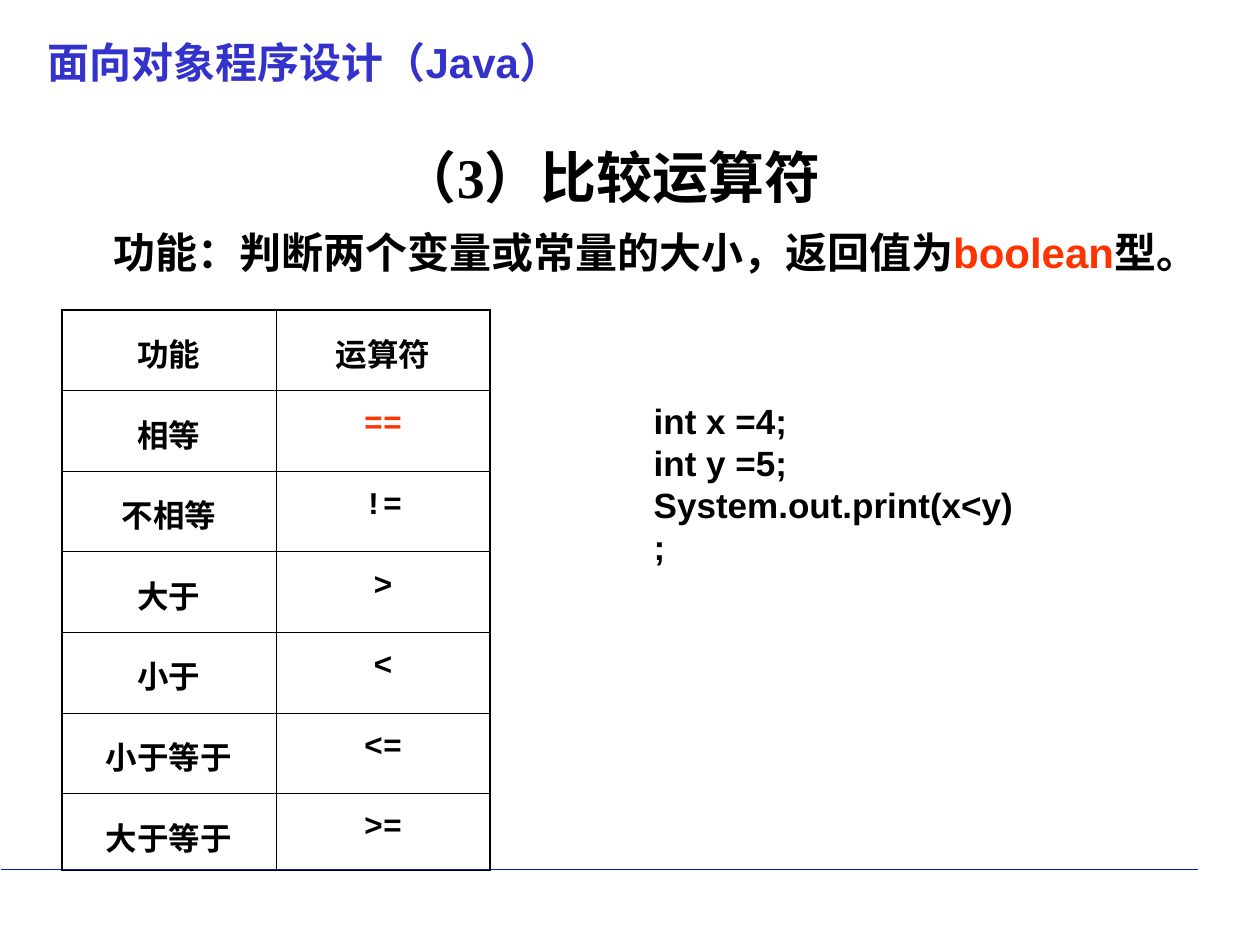
from lxml.etree import SubElement
from pptx import Presentation
from pptx.dml.color import RGBColor
from pptx.enum.shapes import MSO_CONNECTOR
from pptx.enum.text import MSO_ANCHOR, MSO_AUTO_SIZE, PP_ALIGN
from pptx.oxml.ns import qn
from pptx.util import Inches, Pt

# Content
COURSE = "面向对象程序设计（Java）"
TITLE = "（3）比较运算符"
PURPOSE = [
    ("功能：判断两个变量或常量的大小，返回值为", "000000"),
    ("boolean", "FF3300"),
    ("型。", "000000"),
]
CODE = ["int x =4;", "int y =5;", "System.out.print(x<y);"]
OPERATORS = [
    ("功能", "运算符"),
    ("相等", "=="),
    ("不相等", "!="),
    ("大于", ">"),
    ("小于", "<"),
    ("小于等于", "<="),
    ("大于等于", ">="),
]
HIGHLIGHT = "=="

BLACK, RED, BLUE, NAVY = "000000", "FF3300", "3333CC", "061AAA"
CJK_FONT = "Noto Sans CJK SC"
COLUMN_WIDTH, ROW_HEIGHT, LAST_ROW_HEIGHT = 1.7, 0.64, 0.61
OUTER_LINE, INNER_LINE = 0.96, 0.45


def rgb(color):
    return RGBColor.from_string(color)


def format_run(run, size, font, color=BLACK):
    run.font.size = Pt(size)
    run.font.bold = True
    run.font.name = font
    run.font.color.rgb = rgb(color)
    SubElement(run._r.get_or_add_rPr(), qn("a:ea"), typeface=CJK_FONT)


def add_text(slide, box, paragraphs, size, wrap=False):
    """Each paragraph is a list of (text, color) runs."""
    textbox = slide.shapes.add_textbox(*(Inches(v) for v in box))
    frame = textbox.text_frame
    frame.word_wrap = wrap
    if not wrap:
        frame.auto_size = MSO_AUTO_SIZE.SHAPE_TO_FIT_TEXT
    for i, runs in enumerate(paragraphs):
        paragraph = frame.add_paragraph() if i else frame.paragraphs[0]
        for text, color in runs:
            run = paragraph.add_run()
            run.text = text
            format_run(run, size, "Arial", color)


def set_borders(cell, outer_sides):
    properties = cell._tc.get_or_add_tcPr()
    for i, side in enumerate(("lnL", "lnR", "lnT", "lnB")):
        width = OUTER_LINE if side in outer_sides else INNER_LINE
        line = SubElement(properties, qn(f"a:{side}"), w=str(int(Pt(width))))
        fill = SubElement(line, qn("a:solidFill"))
        SubElement(fill, qn("a:srgbClr"), val=BLACK)
        properties.remove(line)
        properties.insert(i, line)


prs = Presentation()
prs.slide_width, prs.slide_height = Inches(10), Inches(7.5)
slide = prs.slides.add_slide(prs.slide_layouts[5])

# Footer rule and course name
rule = slide.shapes.add_connector(
    MSO_CONNECTOR.STRAIGHT, Inches(0.01), Inches(6.9), Inches(9.51), Inches(6.9))
rule.line.color.rgb = rgb(NAVY)
rule.line.width = Pt(1)
SubElement(rule._element.spPr, qn("a:effectLst"))
add_text(slide, (0.28, 0.24, 9.22, 0.51), [[(COURSE, BLUE)]], 24, wrap=True)

# Title
title = slide.shapes.title
title.left, title.top = Inches(0.35), Inches(1.01)
title.width, title.height = Inches(9), Inches(0.77)
title.text_frame.text = TITLE
title.text_frame.vertical_anchor = MSO_ANCHOR.MIDDLE
heading = title.text_frame.paragraphs[0]
heading.alignment = PP_ALIGN.CENTER
format_run(heading.runs[0], 32, "Times New Roman")

# Operator table
last_row = len(OPERATORS) - 1
table = slide.shapes.add_table(
    len(OPERATORS), 2, Inches(0.49), Inches(2.46), Inches(2 * COLUMN_WIDTH),
    Inches(last_row * ROW_HEIGHT + LAST_ROW_HEIGHT)).table
table.first_row = table.horz_banding = False
for column in table.columns:
    column.width = Inches(COLUMN_WIDTH)
for r, labels in enumerate(OPERATORS):
    table.rows[r].height = Inches(LAST_ROW_HEIGHT if r == last_row else ROW_HEIGHT)
    for c, label in enumerate(labels):
        cell = table.cell(r, c)
        cell.text_frame.text = label
        paragraph = cell.text_frame.paragraphs[0]
        paragraph.alignment = PP_ALIGN.CENTER
        paragraph.line_spacing = 1.3
        if c == 0:
            font = "Times New Roman"
        else:
            font = "Courier New" if r else CJK_FONT
        format_run(paragraph.runs[0], 18, font, RED if label == HIGHLIGHT else BLACK)
        cell.fill.background()
        outer_sides = {"lnR" if c else "lnL"}
        if r == 0:
            outer_sides.add("lnT")
        if r == last_row:
            outer_sides.add("lnB")
        set_borders(cell, outer_sides)

# Purpose sentence and code example
add_text(slide, (0.8, 1.75, 8.97, 0.5), [PURPOSE], 24)
add_text(slide, (5.09, 3.12, 3.14, 1.1), [[(line, BLACK)] for line in CODE], 20)

prs.save("out.pptx")
